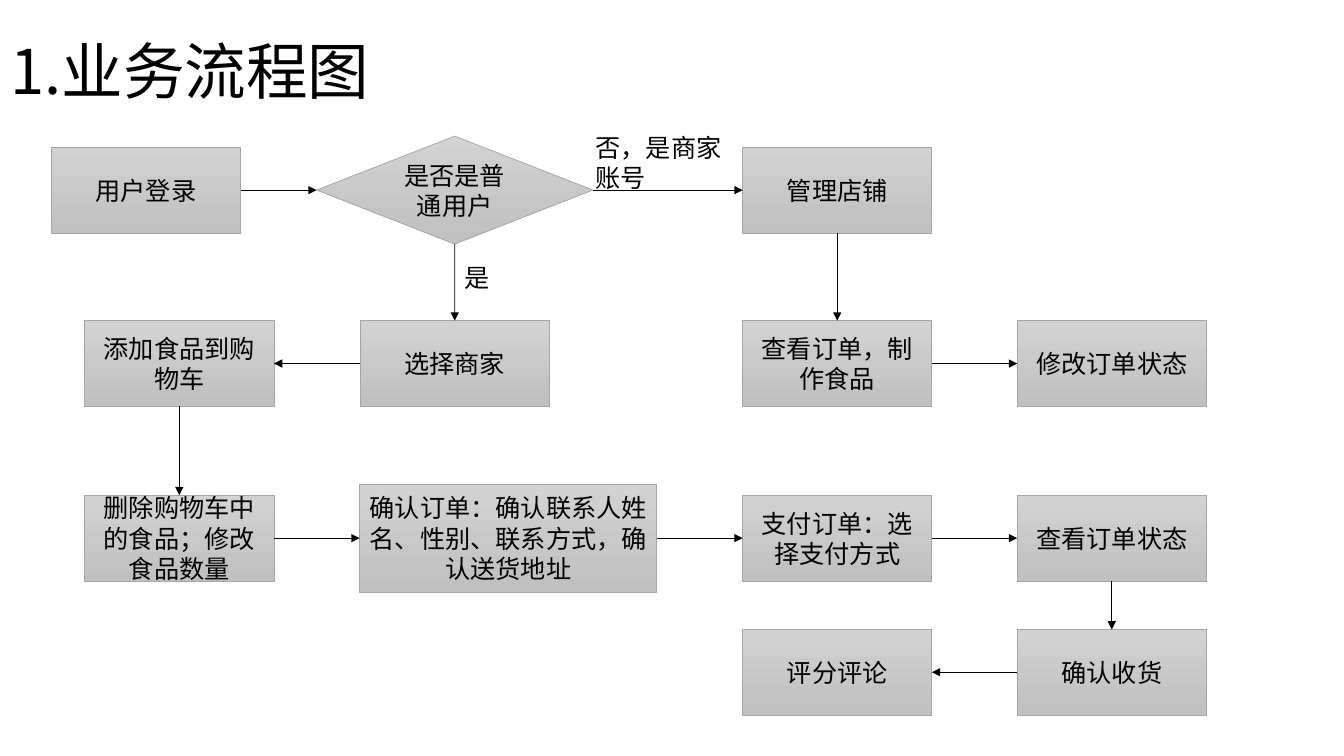
from lxml import etree
from pptx import Presentation
from pptx import util as u
from pptx.dml.color import RGBColor
from pptx.enum import shapes, text
from pptx.oxml.ns import qn

FONT = "Noto Sans CJK SC"
COLORS = {"text": "000000", "arrow": "000000", "border": "A5A5A5",
          "top": "D2D2D2", "bottom": "C0C0C0"}
COLUMNS = {"login": 3.68, "cart": 4.52, "choice": 11.46, "confirm": 12.81,
           "shop": 21.1, "status": 28.02}
ROWS = [4.79, 9.16, 13.56, 16.94]
BOX_SIZE = (4.77, 2.16)
TOP, LEFT, BOTTOM, RIGHT = range(4)

STEPS = [
    ("用户登录", "login", 0),
    ("管理店铺", "shop", 0),
    ("添加食品到购物车", "cart", 1),
    ("选择商家", "choice", 1),
    ("查看订单，制作食品", "shop", 1),
    ("修改订单状态", "status", 1),
    ("删除购物车中的食品；修改食品数量", "cart", 2),
    ("支付订单：选择支付方式", "shop", 2),
    ("查看订单状态", "status", 2),
    ("评分评论", "shop", 3),
    ("确认收货", "status", 3),
]
DECISION = "是否是普通用户"
CONFIRM = "确认订单：确认联系人姓名、性别、联系方式，确认送货地址"
ARROWS = [
    ("用户登录", RIGHT, DECISION, LEFT),
    (DECISION, RIGHT, "管理店铺", LEFT),
    (DECISION, BOTTOM, "选择商家", TOP),
    ("选择商家", LEFT, "添加食品到购物车", RIGHT),
    ("添加食品到购物车", BOTTOM, "删除购物车中的食品；修改食品数量", TOP),
    ("删除购物车中的食品；修改食品数量", RIGHT, CONFIRM, LEFT),
    (CONFIRM, RIGHT, "支付订单：选择支付方式", LEFT),
    ("支付订单：选择支付方式", RIGHT, "查看订单状态", LEFT),
    ("管理店铺", BOTTOM, "查看订单，制作食品", TOP),
    ("查看订单，制作食品", RIGHT, "修改订单状态", LEFT),
    ("查看订单状态", BOTTOM, "确认收货", TOP),
    ("确认收货", LEFT, "评分评论", RIGHT),
]


def color(name):
    return RGBColor.from_string(COLORS[name])


def write(shape, words, size, align, anchor):
    frame = shape.text_frame
    frame.text = words
    frame.word_wrap = True
    frame.vertical_anchor = anchor
    para = frame.paragraphs[0]
    para.alignment = align
    span = para.runs[0]
    span.font.size = u.Pt(size)
    span.font.name = FONT
    span.font.color.rgb = color("text")
    east_asian = etree.SubElement(span.font._element, qn("a:ea"))
    east_asian.set("typeface", FONT)
    return para


def add_title(page, words):
    title = page.shapes.title
    title.left, title.top = u.Cm(0), u.Cm(0.03)
    title.width, title.height = u.Cm(29.21), u.Cm(3.68)
    para = write(title, words, 44, text.PP_ALIGN.LEFT, text.MSO_ANCHOR.MIDDLE)
    para.line_spacing = 0.9
    title.text_frame.auto_size = text.MSO_AUTO_SIZE.NONE


def add_step(page, words, column, row, size=BOX_SIZE,
             kind=shapes.MSO_SHAPE.RECTANGLE):
    width, height = size
    box = page.shapes.add_shape(
        kind, u.Cm(COLUMNS[column] - width / 2), u.Cm(ROWS[row] - height / 2),
        u.Cm(width), u.Cm(height))
    box.shadow.inherit = False
    box.fill.gradient()
    box.fill.gradient_angle = 270
    for stop, name in zip(box.fill.gradient_stops, ("top", "bottom")):
        stop.color.rgb = color(name)
    box.line.color.rgb = color("border")
    box.line.width = u.Pt(0.5)
    write(box, words, 18, text.PP_ALIGN.CENTER, text.MSO_ANCHOR.MIDDLE)
    return box


def add_arrow(page, start, start_side, end, end_side):
    arrow = page.shapes.add_connector(shapes.MSO_CONNECTOR.STRAIGHT, 0, 0, 0, 0)
    arrow.begin_connect(start, start_side)
    arrow.end_connect(end, end_side)
    arrow.line.color.rgb = color("arrow")
    arrow.line.width = u.Pt(0.5)
    tail = etree.SubElement(arrow.line._get_or_add_ln(), qn("a:tailEnd"))
    tail.set("type", "triangle")
    etree.SubElement(arrow._element.spPr, qn("a:effectLst"))


def add_label(page, words, left, top, width, height):
    label = page.shapes.add_textbox(u.Cm(left), u.Cm(top), u.Cm(width), u.Cm(height))
    write(label, words, 18, text.PP_ALIGN.LEFT, text.MSO_ANCHOR.TOP)
    label.text_frame.auto_size = text.MSO_AUTO_SIZE.SHAPE_TO_FIT_TEXT


def main():
    deck = Presentation()
    deck.slide_width, deck.slide_height = u.Cm(33.87), u.Cm(19.05)
    page = deck.slides.add_slide(deck.slide_layouts[5])
    add_title(page, "1.业务流程图")

    boxes = {words: add_step(page, words, column, row)
             for words, column, row in STEPS}
    boxes[DECISION] = add_step(page, DECISION, "choice", 0, (6.96, 2.72),
                               shapes.MSO_SHAPE.FLOWCHART_DECISION)
    boxes[CONFIRM] = add_step(page, CONFIRM, "confirm", 2, (7.49, 2.72))
    for start, start_side, end, end_side in ARROWS:
        add_arrow(page, boxes[start], start_side, boxes[end], end_side)

    add_label(page, "否，是商家账号", 14.76, 3.2, 3.73, 1.8)
    add_label(page, "是", 11.46, 6.48, 1.4, 1.02)
    deck.save("out.pptx")


if __name__ == "__main__":
    main()
